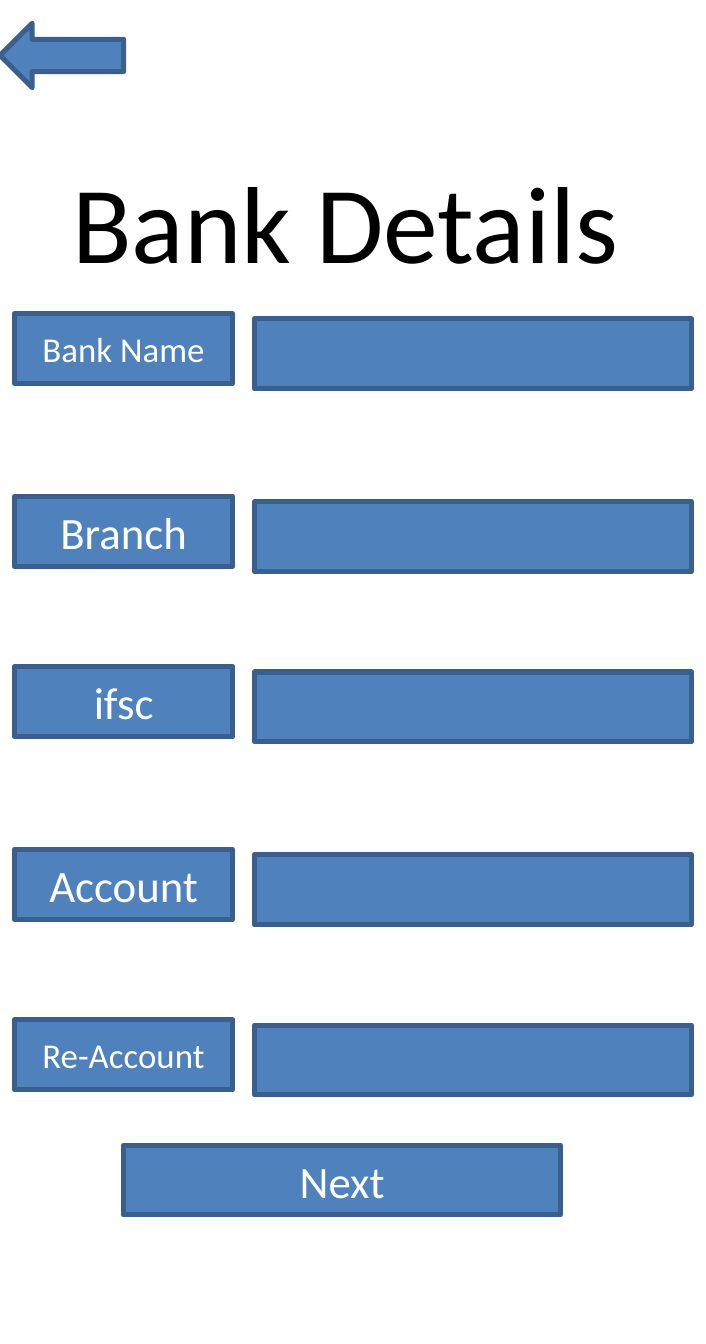
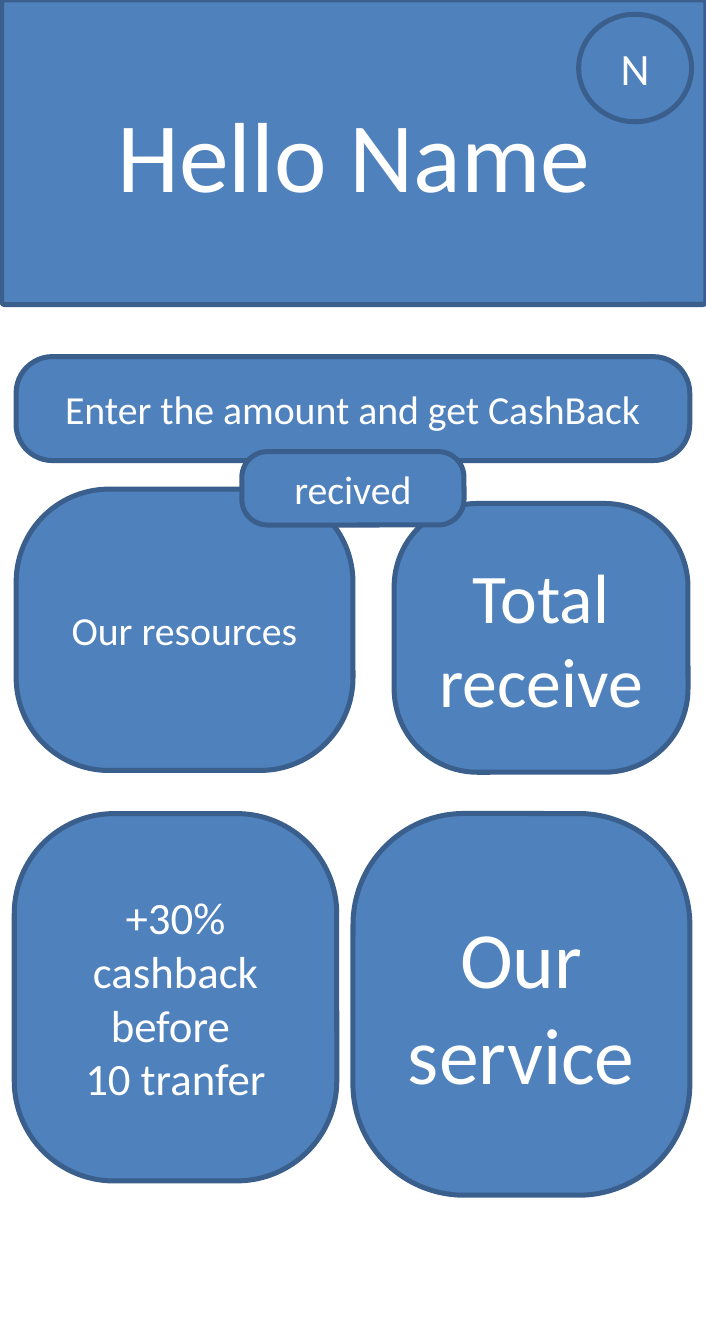
from pptx import Presentation
from pptx.dml.color import RGBColor
from pptx.enum.shapes import MSO_SHAPE
from pptx.enum.text import MSO_ANCHOR, PP_ALIGN
from pptx.util import Inches, Pt

COLORS = {"fill": "4F81BD", "line": "3A5F8C", "light": "FFFFFF", "title": "000000"}
FONT = "Calibri"


def write(frame, text, size, color):
    """Fill a text frame with centred paragraphs, one per line of text."""
    frame.word_wrap = True
    frame.vertical_anchor = MSO_ANCHOR.MIDDLE
    frame.text = text
    for paragraph in frame.paragraphs:
        paragraph.alignment = PP_ALIGN.CENTER
        paragraph.font.name = FONT
        paragraph.font.size = Pt(size)
        paragraph.font.color.rgb = RGBColor.from_string(COLORS[color])


def add_block(slide, kind, box, text="", size=18, corner=None):
    """Add an outlined blue shape, with light text if there is any."""
    block = slide.shapes.add_shape(kind, *map(Inches, box))
    block.shadow.inherit = False
    block.fill.solid()
    block.fill.fore_color.rgb = RGBColor.from_string(COLORS["fill"])
    block.line.color.rgb = RGBColor.from_string(COLORS["line"])
    block.line.width = Pt(2)
    if corner is not None:
        block.adjustments[0] = corner
    if text:
        write(block.text_frame, text, size, "light")


prs = Presentation()
prs.slide_width, prs.slide_height = Inches(3.94), Inches(7.5)
blank = prs.slide_layouts[6]

# Bank details form
form = prs.slides.add_slide(blank)
heading = form.shapes.add_textbox(Inches(0.16), Inches(0.6), Inches(3.54), Inches(1.25))
write(heading.text_frame, "Bank Details", 44, "title")

FIELD_WIDTH, ROW_HEIGHT = 2.44, 0.39
fields = [
    ("Bank Name", 1.75, 14),
    ("Branch", 2.77, 18),
    ("ifsc", 3.72, 18),
    ("Account", 4.74, 18),
    ("Re-Account", 5.69, 14),
]
for label, top, size in fields:
    add_block(form, MSO_SHAPE.RECTANGLE, (1.42, top + 0.03, FIELD_WIDTH, ROW_HEIGHT))
    add_block(form, MSO_SHAPE.RECTANGLE, (0.08, top, 1.22, ROW_HEIGHT), label, size)

add_block(form, MSO_SHAPE.RECTANGLE, (0.69, 6.39, FIELD_WIDTH, ROW_HEIGHT), "Next")
add_block(form, MSO_SHAPE.LEFT_ARROW, (0, 0.13, 0.69, 0.36))

# Home screen
home = prs.slides.add_slide(blank)
cards = [
    ("Hello Name", (0.01, 0, 3.93, 1.7), 40, 0.01),
    ("Enter the amount and get CashBack", (0.09, 1.99, 3.76, 0.58), 16, 0.35),
    ("Our resources", (0.09, 2.73, 1.88, 1.57), 16, 0.33),
    ("Total receive", (2.2, 2.81, 1.64, 1.5), 28, 0.31),
    ("+30% cashback before \n10 tranfer", (0.08, 4.54, 1.8, 2.05), 18, 0.31),
    ("Our service ", (1.97, 4.54, 1.88, 2.13), 32, 0.33),
    ("recived", (1.35, 2.52, 1.24, 0.41), 16, 0.35),
]
for text, box, size, corner in cards:
    add_block(home, MSO_SHAPE.ROUNDED_RECTANGLE, box, text, size, corner)
add_block(home, MSO_SHAPE.OVAL, (3.23, 0.08, 0.63, 0.6), "N")

prs.save("out.pptx")
